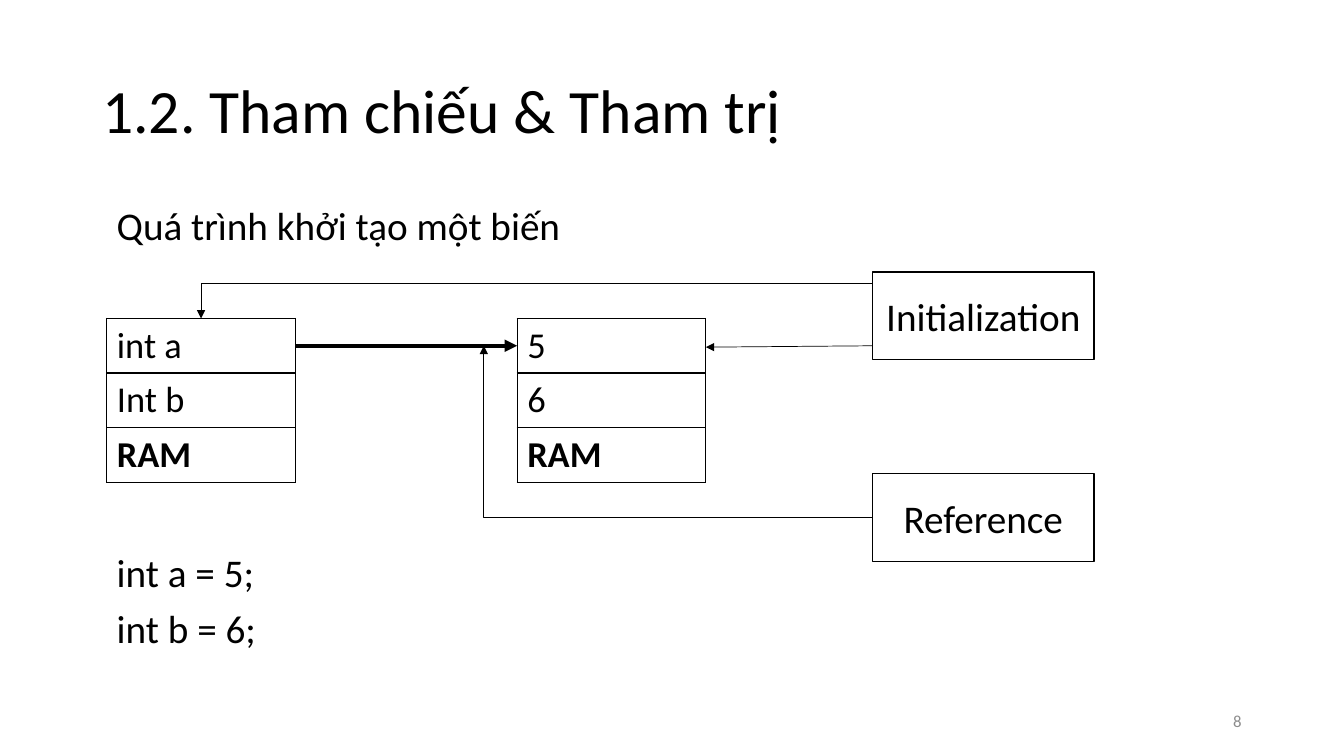
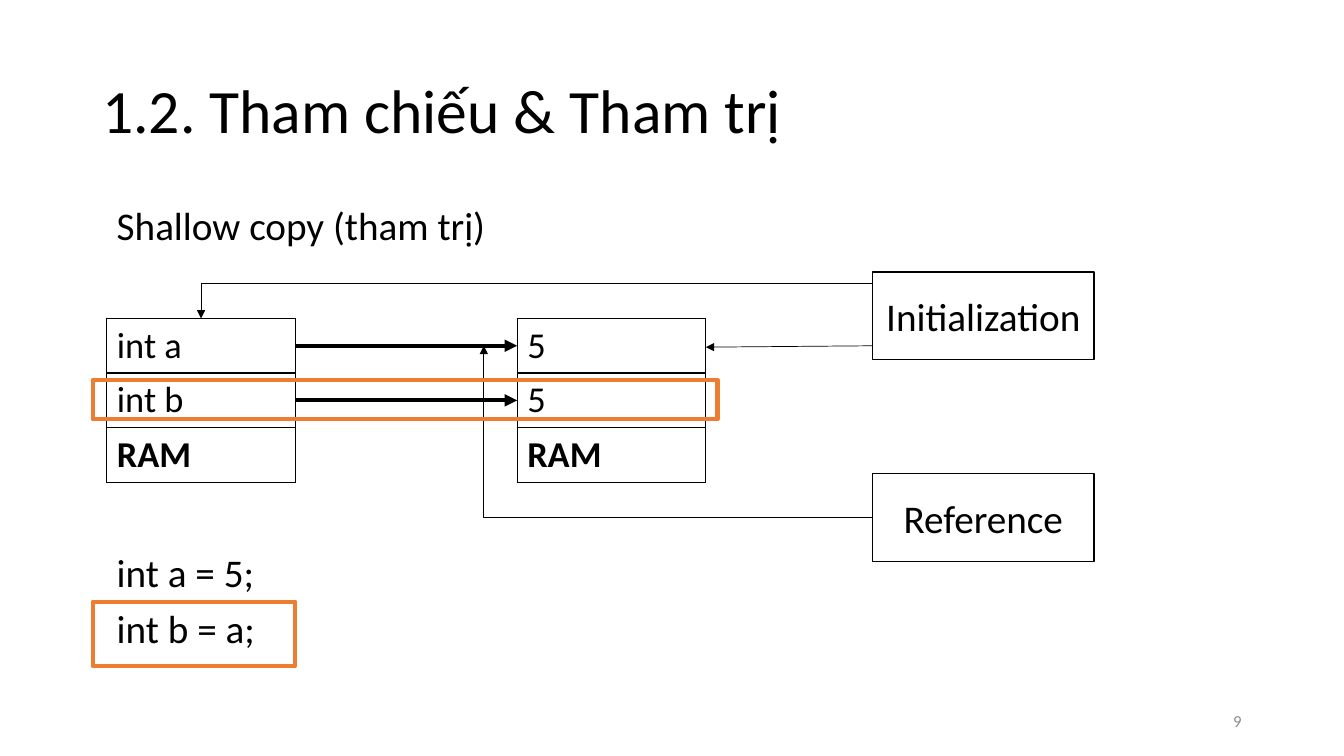
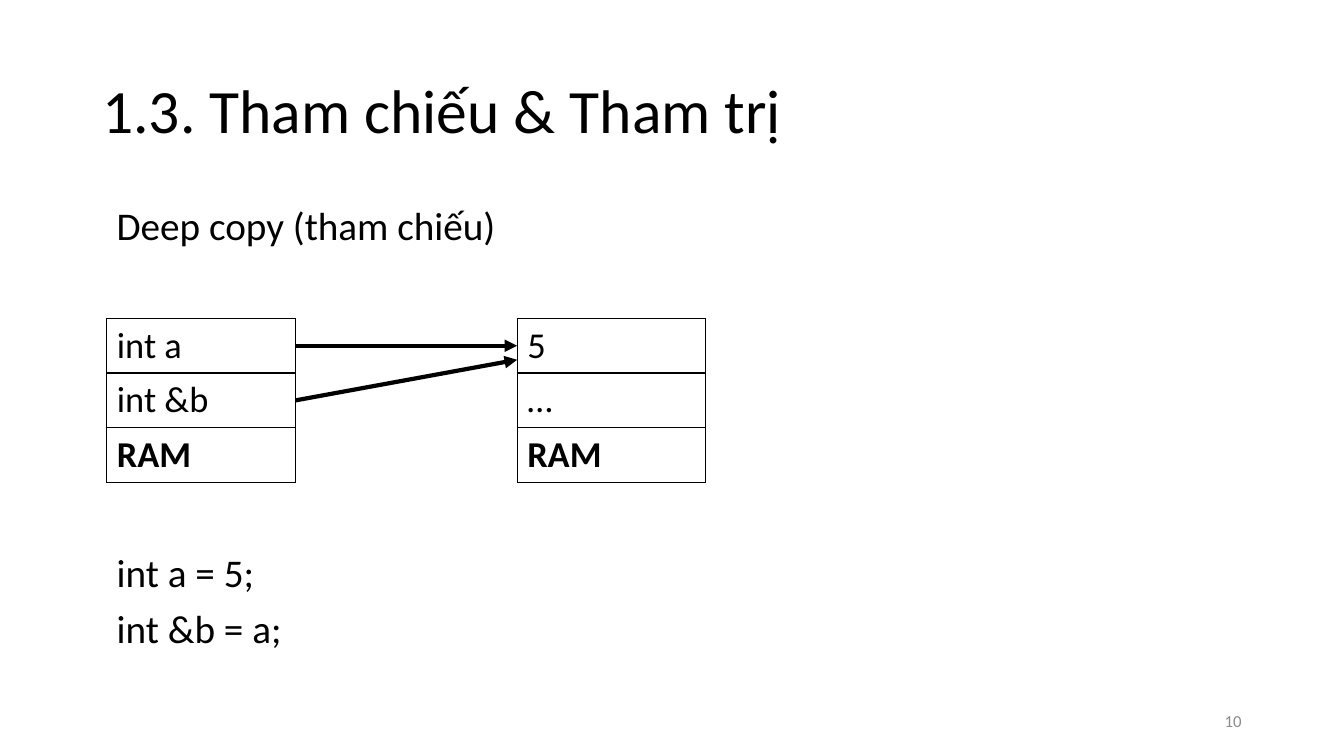
from pptx import Presentation
from pptx.dml.color import RGBColor
from pptx.enum.shapes import MSO_CONNECTOR as Connector, MSO_SHAPE as Shape
from pptx.enum.text import MSO_ANCHOR as Anchor, PP_ALIGN as Align
from pptx.oxml.ns import qn
from pptx.util import Pt
from lxml.etree import SubElement

BLACK, WHITE, ORANGE, GREY = "000000", "FFFFFF", "ED7D31", "8C8C8C"
color_of = RGBColor.from_string

MARGIN = 76.3
NAMES_LEFT, VALUES_LEFT = MARGIN, 369.4
TABLE_TOP, TABLE_WIDTH, ROW_HEIGHT = 227.5, 134.8, 39
NAMES_RIGHT = NAMES_LEFT + TABLE_WIDTH
VALUES_RIGHT = VALUES_LEFT + TABLE_WIDTH
FIRST_ROW = TABLE_TOP + ROW_HEIGHT / 2
SECOND_ROW = FIRST_ROW + ROW_HEIGHT
LABEL_LEFT, LABEL_WIDTH, LABEL_HEIGHT = 623.2, 158.4, 62.6
LABELS = [("Initialization", 194.4), ("Reference", 338.4)]
LABEL_ARROWS = [
    ((LABEL_LEFT, 247), (VALUES_RIGHT, 248), False),
    ((LABEL_LEFT, 202.3), (NAMES_LEFT + TABLE_WIDTH / 2, TABLE_TOP), True),
    ((LABEL_LEFT, 369.7), (345.6, 247), True),
]
FRAMES = [(66.2, 271.4, 446.4, 28.1), (66.2, 429.8, 144.7, 46.1)]

SLIDES = [
    {"title": "1.2. Tham chiếu & Tham trị", "subtitle": "Quá trình khởi tạo một biến",
     "names": ["int a", "Int b", "RAM"], "values": ["5", "6", "RAM"],
     "code": ["int a = 5;", "int b = 6;"], "labels": True, "frames": [],
     "links": [(FIRST_ROW, FIRST_ROW)]},
    {"title": "1.2. Tham chiếu & Tham trị", "subtitle": "Shallow copy (tham trị)",
     "names": ["int a", "int b", "RAM"], "values": ["5", "5", "RAM"],
     "code": ["int a = 5;", "int b = a;"], "labels": True, "frames": FRAMES,
     "links": [(FIRST_ROW, FIRST_ROW), (SECOND_ROW, SECOND_ROW)]},
    {"title": "1.3. Tham chiếu & Tham trị", "subtitle": "Deep copy (tham chiếu)",
     "names": ["int a", "int &b", "RAM"], "values": ["5", "…", "RAM"],
     "code": ["int a = 5;", "int &b = a;"], "labels": False, "frames": [],
     "links": [(FIRST_ROW, FIRST_ROW), (SECOND_ROW, 257)]},
]


def write(text_frame, lines, size, color=BLACK, align=Align.LEFT, spacing=1.0, bold=False):
    text_frame.word_wrap = True
    for index, line in enumerate(lines):
        paragraph = text_frame.add_paragraph() if index else text_frame.paragraphs[0]
        paragraph.text = line
        paragraph.alignment = align
        paragraph.line_spacing = spacing
        if index:
            paragraph.space_before = Pt(10)
        paragraph.font.name = "Calibri"
        paragraph.font.size = Pt(size)
        paragraph.font.bold = bold
        paragraph.font.color.rgb = color_of(color)


def add_arrow(slide, start, end, width, bent=False):
    kind = Connector.ELBOW if bent else Connector.STRAIGHT
    arrow = slide.shapes.add_connector(kind, *map(Pt, start + end))
    arrow.line.color.rgb = color_of(BLACK)
    arrow.line.width = Pt(width)
    properties = arrow.element.spPr
    if bent:
        properties.find(qn("a:prstGeom")).set("prst", "bentConnector2")
    SubElement(properties.find(qn("a:ln")), qn("a:tailEnd"), type="triangle")
    SubElement(properties, qn("a:effectLst"))


presentation = Presentation()
presentation.slide_width, presentation.slide_height = Pt(960), Pt(540)

for number, content in enumerate(SLIDES, start=8):
    slide = presentation.slides.add_slide(presentation.slide_layouts[6])

    for lines, place, size, color, align, spacing, anchor in [
        ([content["title"]], (66, 28.8, 828, 104.4), 44, BLACK, Align.LEFT, 0.9, Anchor.MIDDLE),
        ([content["subtitle"]], (MARGIN, 144, 571.7, 59), 28, BLACK, Align.LEFT, 0.9, Anchor.TOP),
        (content["code"], (MARGIN, 391.7, 571.7, 110.9), 28, BLACK, Align.LEFT, 0.9, Anchor.TOP),
        ([str(number)], (678, 500.5, 216, 28.8), 12, GREY, Align.RIGHT, 1.0, Anchor.MIDDLE),
    ]:
        text_frame = slide.shapes.add_textbox(*map(Pt, place)).text_frame
        text_frame.vertical_anchor = anchor
        write(text_frame, lines, size, color, align, spacing)

    for left, rows in [(NAMES_LEFT, content["names"]), (VALUES_LEFT, content["values"])]:
        place = (left, TABLE_TOP, TABLE_WIDTH, ROW_HEIGHT * len(rows))
        table = slide.shapes.add_table(len(rows), 1, *map(Pt, place)).table
        table.first_row = table.horz_banding = False
        for index, text in enumerate(rows):
            cell = table.cell(index, 0)
            write(cell.text_frame, [text], 26, bold=text == "RAM")
            cell_properties = cell._tc.get_or_add_tcPr()
            for side in ("a:lnL", "a:lnR", "a:lnT", "a:lnB"):
                border = SubElement(cell_properties, qn(side), w=str(Pt(1)))
                SubElement(SubElement(border, qn("a:solidFill")), qn("a:srgbClr"), val=BLACK)
            cell.fill.solid()
            cell.fill.fore_color.rgb = color_of(WHITE)

    if content["labels"]:
        for start, end, bent in LABEL_ARROWS:
            add_arrow(slide, start, end, 0.5, bent)
        for text, top in LABELS:
            place = (LABEL_LEFT, top, LABEL_WIDTH, LABEL_HEIGHT)
            label = slide.shapes.add_shape(Shape.RECTANGLE, *map(Pt, place))
            label.shadow.inherit = False
            label.fill.solid()
            label.fill.fore_color.rgb = color_of(WHITE)
            label.line.color.rgb = color_of(BLACK)
            label.line.width = Pt(1)
            label.text_frame.vertical_anchor = Anchor.MIDDLE
            write(label.text_frame, [text], 28, align=Align.CENTER)

    for place in content["frames"]:
        frame = slide.shapes.add_shape(Shape.RECTANGLE, *map(Pt, place))
        frame.shadow.inherit = False
        frame.fill.background()
        frame.line.color.rgb = color_of(ORANGE)
        frame.line.width = Pt(3)

    for start_y, end_y in content["links"]:
        add_arrow(slide, (NAMES_RIGHT, start_y), (VALUES_LEFT, end_y), 3)

presentation.save("out.pptx")
